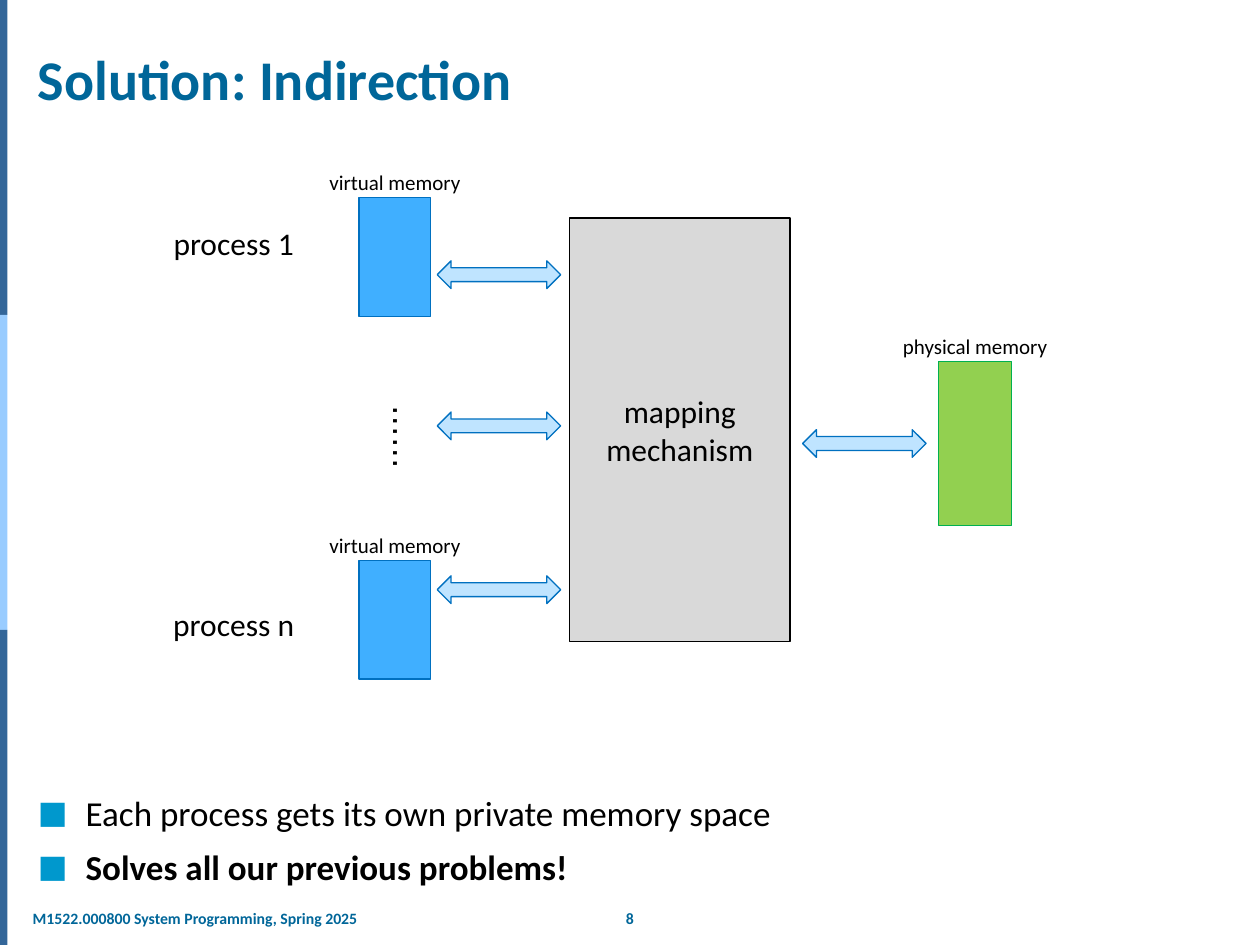
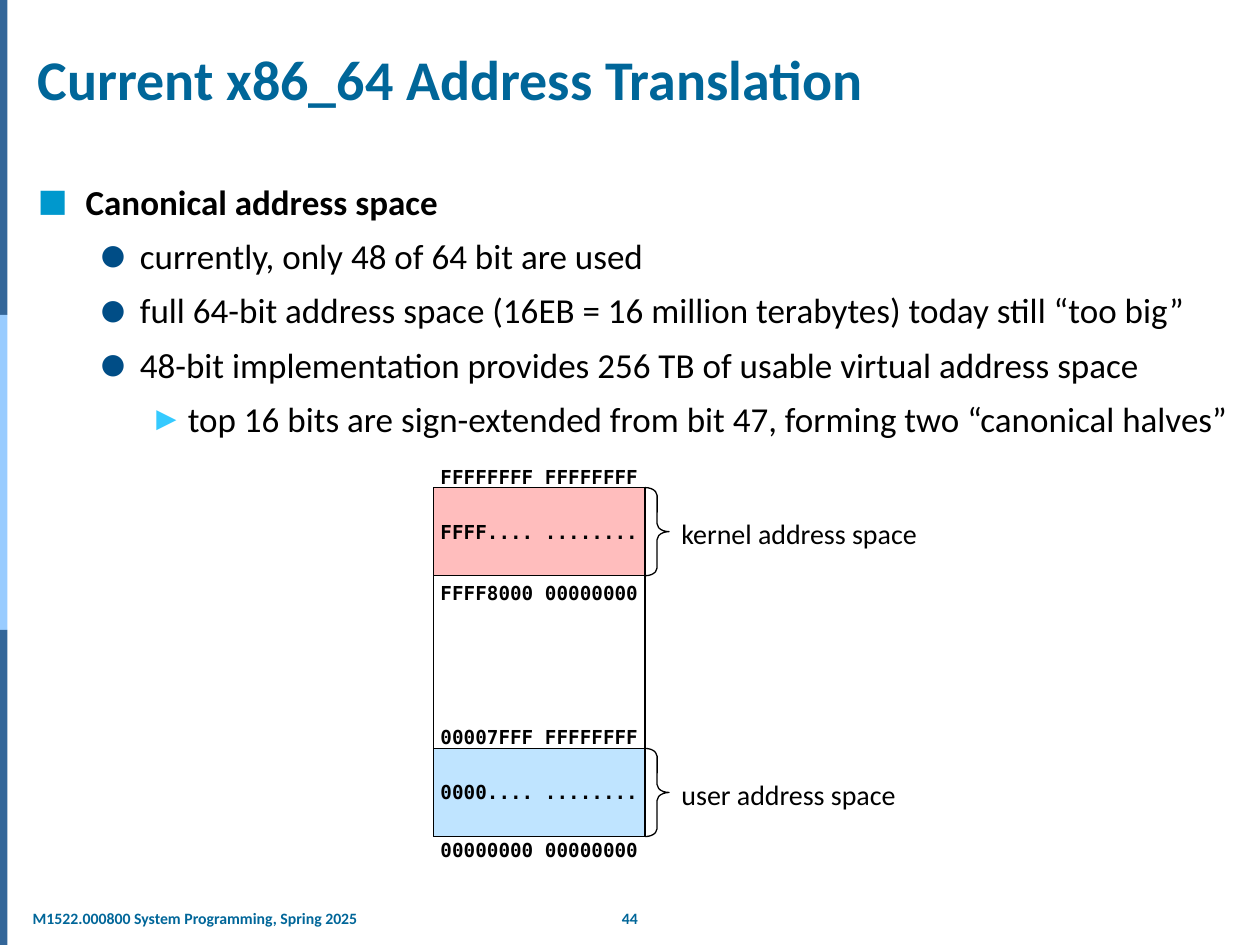
import lxml.etree
import pptx
import pptx.dml.color
import pptx.enum.shapes
import pptx.enum.text
import pptx.oxml.ns
import pptx.util

Inches = pptx.util.Inches
Pt = pptx.util.Pt
SHAPE = pptx.enum.shapes.MSO_SHAPE
ALIGN = pptx.enum.text.PP_ALIGN
ANCHOR = pptx.enum.text.MSO_ANCHOR
AUTO_SIZE = pptx.enum.text.MSO_AUTO_SIZE

# Shared look
TITLE_COLOUR = "006699"
BLACK = "000000"
BANDS = ["336699", "99CCFF", "336699"]
FOOTER = "M1522.000800 System Programming, Spring 2025"
BODY_FONT = "Calibri"
CODE_FONT = "DejaVu Sans Mono"
# level: (left margin, hanging indent, character, colour, size in percent)
BULLETS = [
    (0.38, 0.38, "■", "0098CD", 90),
    (0.81, 0.31, "●", "004D86", 80),
    (1.19, 0.25, "▶", "35CAFF", 75),
]

# Slide contents: list items are (level, bold, text)
INDIRECTION = {
    "title": "Solution: Indirection",
    "number": "8",
    "body_top": 6.23,
    "items": [
        (0, False, "Each process gets its own private memory space"),
        (0, True, "Solves all our previous problems!"),
    ],
}
PROCESSES = [("process 1", 1.73), ("process n", 4.75)]
# label, label width, block box, fill, line
MEMORIES = [
    ("virtual memory", 1.25, (2.85, 1.57, 0.57, 0.94), "40AFFF", "0070C0"),
    ("virtual memory", 1.25, (2.85, 4.45, 0.57, 0.94), "40AFFF", "0070C0"),
    ("physical memory", 1.36, (7.45, 2.87, 0.58, 1.3), "92D050", "00B050"),
]
ARROWS = [(3.47, 2.07), (3.47, 3.27), (3.47, 4.57), (6.37, 3.41)]

TRANSLATION = {
    "title": "Current x86_64 Address Translation",
    "number": "44",
    "body_top": 1.38,
    "items": [
        (0, True, "Canonical address space"),
        (1, False, "currently, only 48 of 64 bit are used"),
        (1, False, "full 64-bit address space (16EB = 16 million terabytes) today still “too big”"),
        (1, False, "48-bit implementation provides 256 TB of usable virtual address space"),
        (2, False, "top 16 bits are sign-extended from bit 47, forming two “canonical halves”"),
    ],
}
# name, name width, top, fill, highest address, pattern, lowest address, gap below
REGIONS = [
    ("kernel address space", 2.09, 3.87, "FFBDBD",
     "FFFFFFFF FFFFFFFF", "FFFF.... ........", "FFFF8000 00000000", 0.04),
    ("user address space", 1.92, 5.94, "BFE4FF",
     "00007FFF FFFFFFFF", "0000.... ........", "00000000 00000000", 0.01),
]


def colour(value):
    return pptx.dml.color.RGBColor.from_string(value)


def write(paragraph, text, size=18, font=BODY_FONT, fill=BLACK, bold=False):
    run = paragraph.add_run()
    run.text = text
    run.font.size = Pt(size)
    run.font.name = font
    run.font.bold = bold
    run.font.color.rgb = colour(fill)


def add_text(slide, text, box, align=ALIGN.CENTER, wrap=False, inset=None, **style):
    """Add a text box; inset is (horizontal, vertical) in inches."""
    shape = slide.shapes.add_textbox(*map(Inches, box))
    frame = shape.text_frame
    frame.word_wrap = wrap
    if inset is not None:
        frame.margin_left = frame.margin_right = Inches(inset[0])
        frame.margin_top = frame.margin_bottom = Inches(inset[1])
    frame.paragraphs[0].alignment = align
    write(frame.paragraphs[0], text, **style)
    return shape


def add_shape(slide, kind, box, fill=None, line=None):
    shape = slide.shapes.add_shape(kind, *map(Inches, box))
    shape.shadow.inherit = False
    if fill:
        shape.fill.solid()
        shape.fill.fore_color.rgb = colour(fill)
    else:
        shape.fill.background()
    if line:
        shape.line.color.rgb = colour(line)
        shape.line.width = Pt(0.75)
    else:
        shape.line.fill.background()
    return shape


def add_bullet(paragraph, level):
    margin, hanging, character, fill, percent = BULLETS[level]
    properties = paragraph._p.get_or_add_pPr()
    properties.set("marL", str(Inches(margin)))
    properties.set("indent", str(-Inches(hanging)))

    def add(parent, tag, **attributes):
        return lxml.etree.SubElement(parent, pptx.oxml.ns.qn(tag), **attributes)

    add(add(properties, "a:buClr"), "a:srgbClr", val=fill)
    add(properties, "a:buSzPct", val=str(percent * 1000))
    add(properties, "a:buFont", typeface="DejaVu Sans")
    add(properties, "a:buChar", char=character)


def place(placeholder, box):
    placeholder.left, placeholder.top, placeholder.width, placeholder.height = map(Inches, box)
    frame = placeholder.text_frame
    frame.word_wrap = True
    frame.auto_size = AUTO_SIZE.NONE
    return frame


def add_slide(presentation, content):
    """Add a slide with bands, footer, title and bulleted list."""
    slide = presentation.slides.add_slide(presentation.slide_layouts[1])
    band_height = 7.5 / len(BANDS)
    for index, fill in enumerate(BANDS):
        add_shape(slide, SHAPE.RECTANGLE, (0, index * band_height, 0.06, band_height), fill)
    footer_style = {"size": 9, "fill": TITLE_COLOUR, "bold": True}
    add_text(slide, content["number"], (4.82, 7.16, 0.36, 0.25), **footer_style)
    add_text(slide, FOOTER, (0.2, 7.16, 2.72, 0.25), align=ALIGN.LEFT,
             inset=(0.06, 0.05), **footer_style)

    title = place(slide.shapes.title, (0.2, 0.31, 9.65, 0.63))
    title.vertical_anchor = ANCHOR.BOTTOM
    title.paragraphs[0].alignment = ALIGN.LEFT
    write(title.paragraphs[0], content["title"], size=32, fill=TITLE_COLOUR, bold=True)

    top = content["body_top"]
    body = place(slide.placeholders[1], (0.2, top, 9.65, 7.09 - top))
    for index, (level, bold, text) in enumerate(content["items"]):
        paragraph = body.add_paragraph() if index else body.paragraphs[0]
        paragraph.level = level
        add_bullet(paragraph, level)
        paragraph.space_before = Pt(7 if index else 0)
        write(paragraph, text, size=20, bold=bold)
    return slide


def draw_mapping(slide):
    for name, top in PROCESSES:
        add_text(slide, name, (1.27, top, 1.17, 0.4))
    for label, label_width, box, fill, line in MEMORIES:
        left, top, width, _ = box
        add_shape(slide, SHAPE.RECTANGLE, box, fill, line)
        add_text(slide, label,
                 (left + (width - label_width) / 2, top - 0.27, label_width, 0.3), size=12)

    dots = add_text(slide, "……", (2.97, 3.12, 0.5, 0.51), align=ALIGN.LEFT, font="DejaVu Sans")
    dots.text_frame.vertical_anchor = ANCHOR.MIDDLE
    dots.text_frame._txBody.bodyPr.set("vert", "eaVert")

    mechanism = add_shape(slide, SHAPE.RECTANGLE, (4.52, 1.73, 1.75, 3.36), "D9D9D9", BLACK)
    frame = mechanism.text_frame
    frame.word_wrap = False
    frame.vertical_anchor = ANCHOR.MIDDLE
    for paragraph, word in ((frame.paragraphs[0], "mapping"),
                            (frame.add_paragraph(), "mechanism")):
        paragraph.alignment = ALIGN.CENTER
        write(paragraph, word)

    for left, top in ARROWS:
        add_shape(slide, SHAPE.LEFT_RIGHT_ARROW, (left, top, 0.98, 0.22), "BFE4FF", "0070C0")


def draw_address_space(slide):
    left, width, height, text_height = 3.44, 1.68, 0.7, 0.19
    right = left + width
    first_top, last_top = REGIONS[0][2], REGIONS[-1][2]
    add_shape(slide, SHAPE.RECTANGLE,
              (left, first_top, width, last_top + height - first_top), line=BLACK)
    for name, name_width, top, fill, highest, pattern, lowest, gap in REGIONS:
        add_shape(slide, SHAPE.RECTANGLE, (left, top, width, height), fill, BLACK)
        addresses = [
            (highest, top - text_height + 0.01),
            (pattern, top + (height - text_height) / 2),
            (lowest, top + height + gap),
        ]
        for address, address_top in addresses:
            add_text(slide, address, (left, address_top, width, text_height), wrap=True,
                     inset=(0, 0), size=11, font=CODE_FONT, bold=True)
        brace = add_shape(slide, SHAPE.RIGHT_BRACE, (right, top, 0.19, height), line=BLACK)
        brace.adjustments[0] = 0.33
        add_text(slide, name, (right + 0.19, top + 0.18, name_width, 0.37),
                 align=ALIGN.LEFT, size=16)


def main():
    presentation = pptx.Presentation()
    presentation.slide_width = Inches(10)
    presentation.slide_height = Inches(7.5)
    draw_mapping(add_slide(presentation, INDIRECTION))
    draw_address_space(add_slide(presentation, TRANSLATION))
    presentation.save("out.pptx")


if __name__ == "__main__":
    main()
